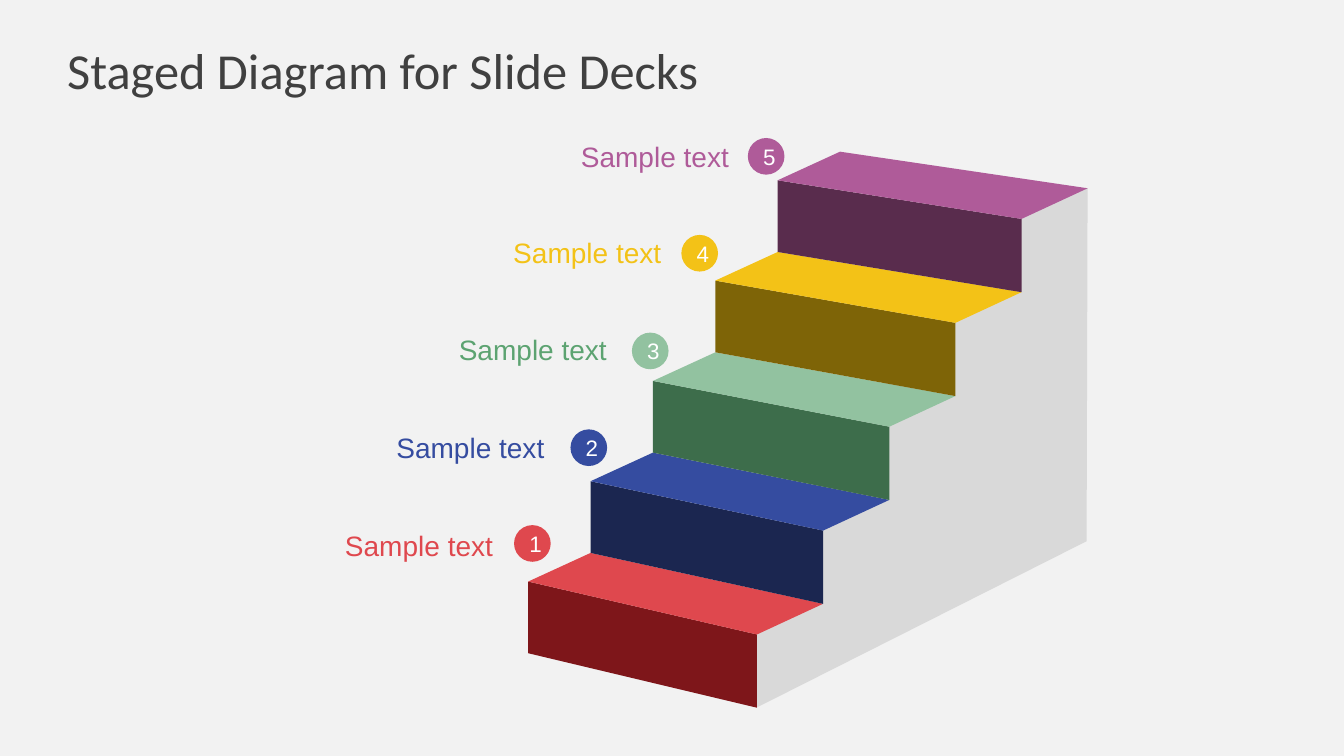
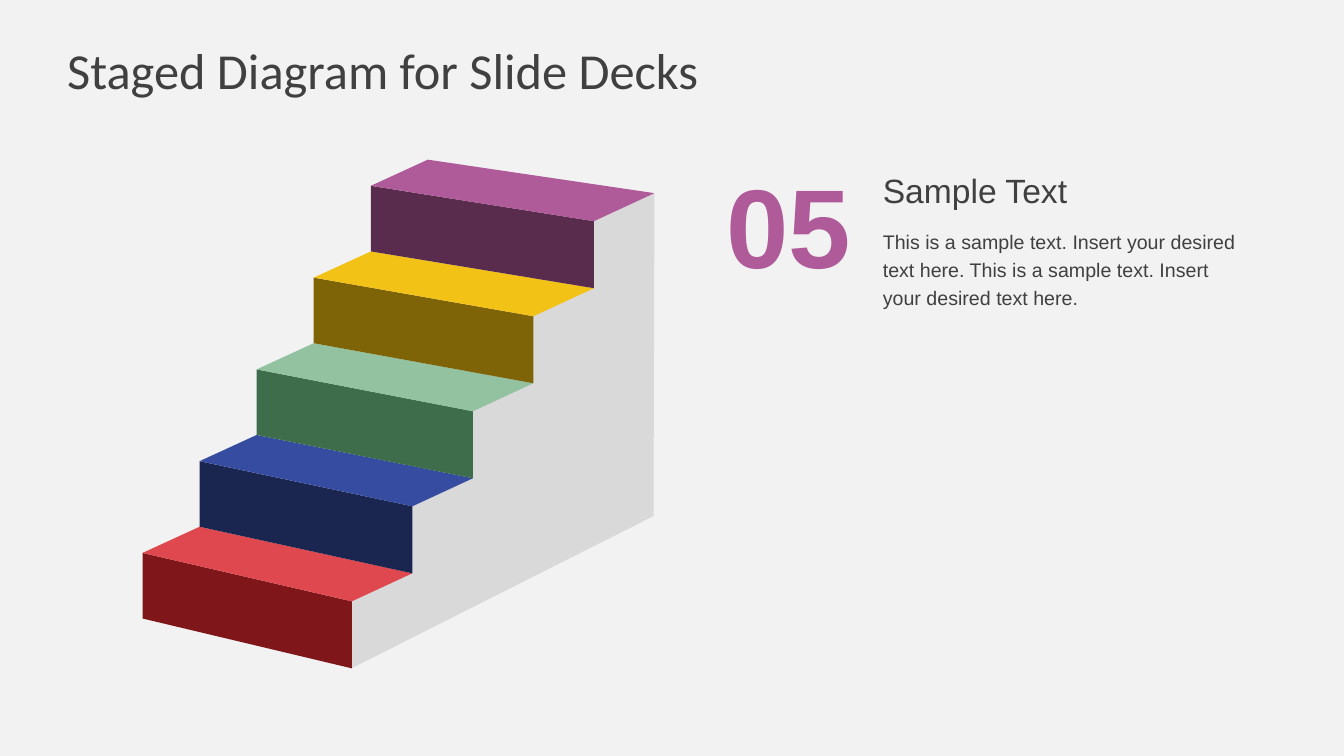
from pptx import Presentation
from pptx.dml.color import RGBColor
from pptx.enum import shapes, text
from pptx.util import Pt

TITLE = "Staged Diagram for Slide Decks"
BACKGROUND, INK, SIDE, WHITE = "F2F2F2", "404040", "D9D9D9", "FFFFFF"
PURPLE = "AF5B99"

# front colour, top colour, from the lowest step up
STEPS = [
    ("7E161A", "DF484E"),
    ("1B2650", "354CA0"),
    ("3D6D4B", "92C2A0"),
    ("7E6407", "F3C217"),
    ("592C4D", PURPLE),
]
# text, colour, right edge and top of the label, left and top of the badge
LABELS = [
    ("Sample text", "DF484E", 359.3, 373.7, 367.2, 375.1),
    ("Sample text", "354CA0", 396, 303.8, 407.5, 306.7),
    ("Sample text", "5CA371", 440.6, 234, 451.4, 237.6),
    ("Sample text", "F3C217", 479.5, 164.9, 486.7, 167.8),
    ("Sample text", PURPLE, 527.8, 95.8, 534.2, 98.6),
]
LABEL_W, LABEL_H, BADGE = 197, 30.2, 26.2

# Stairs: first upper front corners, offset per step and riser height
LEFT, LEFT_STEP, LEFT_RISE = (377.3, 415.4), (44.55, -71.65), 51.2
RIGHT, RIGHT_STEP, RIGHT_RISE = (540.7, 453.2), (47.25, -74.2), 52.3
SIDE_OUTLINE = [(776.9, 134.5), (776.2, 386.6), (540.7, 505.3),
                (536.4, 456.5), (555.8, 386.6), (708.5, 160.6)]

DETAIL = {
    "number": "05",
    "heading": "Sample Text",
    "body": "This is a sample text. Insert your desired text here. "
            "This is a sample text. Insert your desired text here.",
}


def rgb(value):
    return RGBColor.from_string(value)


def add_run(p, words, size, color, font="Arial", bold=False):
    r = p.add_run()
    r.text = words
    r.font.size, r.font.name, r.font.bold = Pt(size), font, bold
    r.font.color.rgb = rgb(color)


def add_text(slide, box, words, size, color, align=text.PP_ALIGN.LEFT,
             bold=False, wrap=True, spacing=None):
    tf = slide.shapes.add_textbox(*map(Pt, box)).text_frame
    tf.word_wrap = wrap
    tf.auto_size = text.MSO_AUTO_SIZE.SHAPE_TO_FIT_TEXT
    p = tf.paragraphs[0]
    p.alignment, p.line_spacing = align, spacing
    add_run(p, words, size, color, bold=bold)


def paint(sp, color):
    sp.shadow.inherit = False
    sp.fill.solid()
    sp.fill.fore_color.rgb = rgb(color)
    sp.line.fill.background()


def add_badge(slide, left, top, words, color):
    sp = slide.shapes.add_shape(shapes.MSO_SHAPE.OVAL, Pt(left), Pt(top),
                                Pt(BADGE), Pt(BADGE))
    paint(sp, color)
    tf = sp.text_frame
    tf.vertical_anchor = text.MSO_ANCHOR.MIDDLE
    p = tf.paragraphs[0]
    p.alignment = text.PP_ALIGN.CENTER
    add_run(p, words, 16, WHITE)


def corner(start, step, i, drop=0):
    """Point i along one edge of the stairs, lowered by drop."""
    return start[0] + step[0] * i, start[1] + step[1] * i + drop


def add_stairs(slide, dx=0, dy=0, scale=1):
    def add_face(points, color):
        first, *rest = [(Pt(dx + x * scale), Pt(dy + y * scale))
                        for x, y in points]
        builder = slide.shapes.build_freeform(*first)
        builder.add_line_segments(rest, close=True)
        paint(builder.convert_to_shape(), color)

    add_face(SIDE_OUTLINE, SIDE)
    for i, (front, top) in enumerate(STEPS):
        left, right = corner(LEFT, LEFT_STEP, i), corner(RIGHT, RIGHT_STEP, i)
        add_face([right, left, corner(LEFT, LEFT_STEP, i, LEFT_RISE),
                  corner(RIGHT, RIGHT_STEP, i, RIGHT_RISE)], front)
        add_face([right, left, corner(LEFT, LEFT_STEP, i + 1, LEFT_RISE),
                  corner(RIGHT, RIGHT_STEP, i + 1, RIGHT_RISE)], top)


def set_up_layout(prs):
    fill = prs.slide_master.background.fill
    fill.solid()
    fill.fore_color.rgb = rgb(BACKGROUND)
    layout = prs.slide_layouts.get_by_name("Title Only")
    title = layout.placeholders[0]
    title.left, title.top, title.width, title.height = map(
        Pt, (48, 21.6, 864, 56.2))
    tf = title.text_frame
    tf.margin_left = tf.margin_right = 0
    tf.margin_top = tf.margin_bottom = Pt(5)
    tf.vertical_anchor = text.MSO_ANCHOR.MIDDLE
    return layout


def add_slide(prs, layout):
    slide = prs.slides.add_slide(layout)
    p = slide.shapes.title.text_frame.paragraphs[0]
    p.alignment = text.PP_ALIGN.LEFT
    add_run(p, TITLE, 36, INK, font="Calibri")
    return slide


def add_overview(prs, layout):
    slide = add_slide(prs, layout)
    add_stairs(slide)
    for number, (words, color, right, top, x, y) in enumerate(LABELS, 1):
        add_text(slide, (right - LABEL_W, top, LABEL_W, LABEL_H), words, 20,
                 color, align=text.PP_ALIGN.RIGHT)
        add_badge(slide, x, y, str(number), STEPS[number - 1][1])


def add_detail(prs, layout):
    slide = add_slide(prs, layout)
    add_stairs(slide, dx=-243.4, dy=14.9, scale=0.915)
    add_text(slide, (511.9, 108, 104.4, 104.4), DETAIL["number"], 80, PURPLE,
             bold=True, wrap=False)
    add_text(slide, (623.5, 118.1, 253.4, 36), DETAIL["heading"], 24, INK)
    add_text(slide, (623.5, 157, 270, 66.2), DETAIL["body"], 14, INK,
             spacing=1.2)


def main():
    prs = Presentation()
    prs.slide_width, prs.slide_height = Pt(960), Pt(540)
    layout = set_up_layout(prs)
    add_overview(prs, layout)
    add_detail(prs, layout)
    prs.save("out.pptx")


if __name__ == "__main__":
    main()
